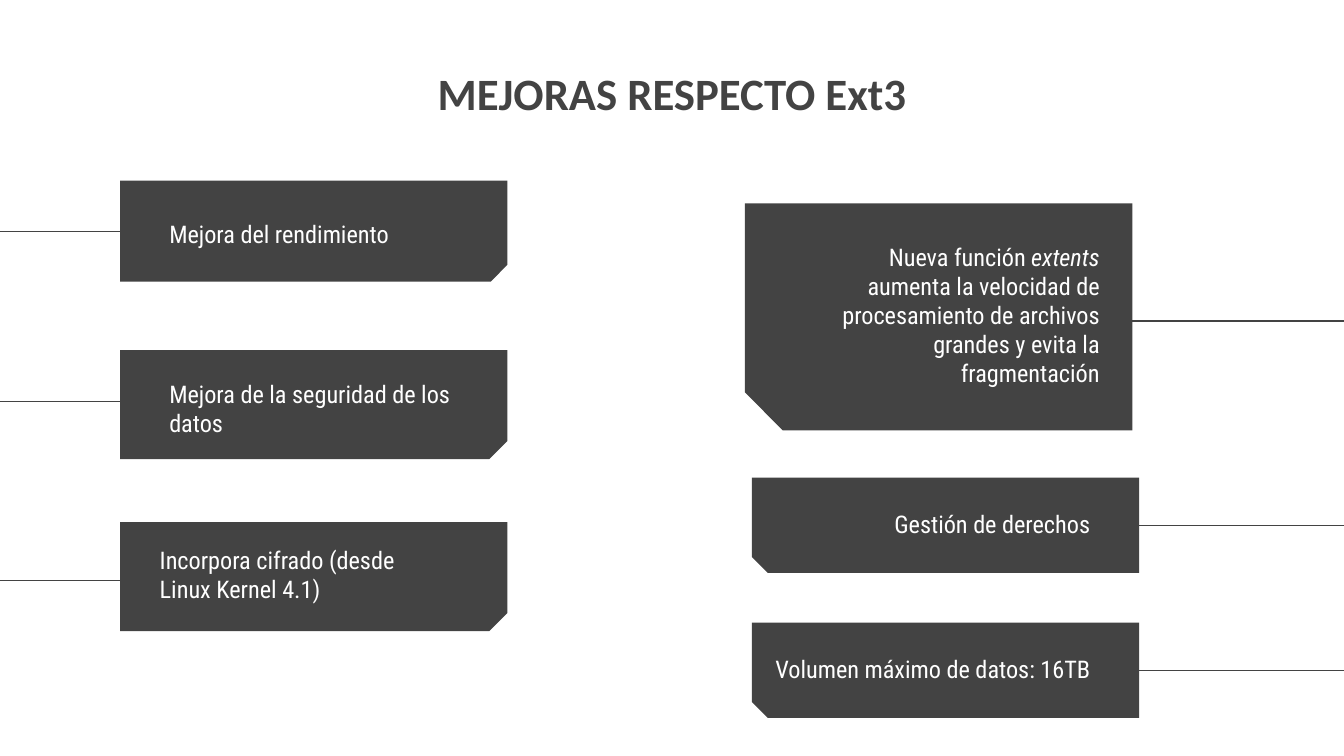
from dataclasses import dataclass

import pptx
import pptx.dml.color
import pptx.enum.shapes
import pptx.enum.text
import pptx.oxml.ns
import pptx.util
from lxml import etree

Cm = pptx.util.Cm
Pt = pptx.util.Pt
ALIGN = pptx.enum.text.PP_ALIGN

SLIDE_W, SLIDE_H = 25.4, 14.29
CARD_W = 7.32
GREY, WHITE = "434343", "FFFFFF"
TITLE_FONT = {"name": "Calibri", "size": Pt(24), "bold": True}
LABEL_FONT = {"name": "Roboto Condensed", "size": Pt(13)}


@dataclass
class Card:
    on_left: bool
    centre_x: float
    centre_y: float
    height: float
    line_y: float
    label_box: tuple[float, float, float, float]
    runs: tuple[tuple[str, bool], ...]


CARDS = [
    Card(False, 17.74, 5.99, 4.29, 6.07, (15.04, 4.32, 5.99, 2.79),
         (("Nueva función ", False), ("extents", True),
          (" aumenta la velocidad de procesamiento de archivos grandes "
           "y evita la fragmentación", False))),
    Card(False, 17.87, 9.93, 1.8, 9.93, (14.86, 9.37, 5.99, 1.8),
         (("Gestión de derechos", False),)),
    Card(False, 17.87, 12.67, 1.8, 12.67, (14.17, 12.12, 6.68, 1.8),
         (("Volumen máximo de datos: 16TB", False),)),
    Card(True, 5.93, 4.37, 1.91, 4.37, (2.95, 3.89, 5.99, 2.79),
         (("Mejora del rendimiento", False),)),
    Card(True, 5.93, 7.65, 2.06, 7.59, (2.95, 6.91, 5.99, 1.8),
         (("Mejora de la seguridad de los datos", False),)),
    Card(True, 5.93, 10.9, 2.06, 10.97, (2.77, 10.06, 5.99, 1.8),
         (("Incorpora cifrado (desde Linux Kernel 4.1)", False),)),
]


def rgb(value: str) -> pptx.dml.color.RGBColor:
    return pptx.dml.color.RGBColor.from_string(value)


def format_font(font, values: dict, color: str) -> None:
    for name, value in values.items():
        setattr(font, name, value)
    font.color.rgb = rgb(color)


def format_frame(tf) -> None:
    values = {"word_wrap": True,
              "auto_size": pptx.enum.text.MSO_AUTO_SIZE.NONE,
              "vertical_anchor": pptx.enum.text.MSO_ANCHOR.TOP}
    for side in ("left", "top", "right", "bottom"):
        values[f"margin_{side}"] = Cm(0.25)
    for name, value in values.items():
        setattr(tf, name, value)


def draw_title(s, text: str) -> None:
    sp = s.shapes.title
    box = {"left": 5.46, "top": 0.99, "width": 14.48, "height": 2.62}
    for name, value in box.items():
        setattr(sp, name, Cm(value))
    format_frame(sp.text_frame)
    p = sp.text_frame.paragraphs[0]
    p.alignment = ALIGN.CENTER
    r = p.add_run()
    r.text = text
    format_font(r.font, TITLE_FONT, GREY)


def draw_line(s, card: Card) -> None:
    start, end = (4.06, 0) if card.on_left else (SLIDE_W, 18.57)
    line = s.shapes.add_connector(
        pptx.enum.shapes.MSO_CONNECTOR.STRAIGHT,
        Cm(start), Cm(card.line_y), Cm(end), Cm(card.line_y))
    line.line.color.rgb = rgb(GREY)
    line.line.width = Pt(0.75)
    etree.SubElement(line._element.spPr, pptx.oxml.ns.qn("a:effectLst"))


def draw_card(s, card: Card) -> None:
    sp = s.shapes.add_shape(
        pptx.enum.shapes.MSO_SHAPE.SNIP_1_RECTANGLE,
        Cm(card.centre_x - card.height / 2), Cm(card.centre_y - CARD_W / 2),
        Cm(card.height), Cm(CARD_W))
    sp.rotation = 90 if card.on_left else 270
    if not card.on_left:
        sp._element.spPr.xfrm.set("flipH", "1")
    sp.shadow.inherit = False
    sp.fill.solid()
    sp.fill.fore_color.rgb = rgb(GREY)
    sp.line.fill.background()


def draw_label(s, card: Card) -> None:
    sp = s.shapes.add_textbox(*map(Cm, card.label_box))
    format_frame(sp.text_frame)
    p = sp.text_frame.paragraphs[0]
    p.alignment = ALIGN.LEFT if card.on_left else ALIGN.RIGHT
    for text, italic in card.runs:
        r = p.add_run()
        r.text = text
        format_font(r.font, {**LABEL_FONT, "italic": italic}, WHITE)


def main() -> None:
    prs = pptx.Presentation()
    prs.slide_width, prs.slide_height = Cm(SLIDE_W), Cm(SLIDE_H)
    s = prs.slides.add_slide(prs.slide_layouts.get_by_name("Title Only"))
    draw_title(s, "MEJORAS RESPECTO Ext3")
    for draw in (draw_line, draw_card, draw_label):
        for card in CARDS:
            draw(s, card)
    prs.save("out.pptx")


if __name__ == "__main__":
    main()
